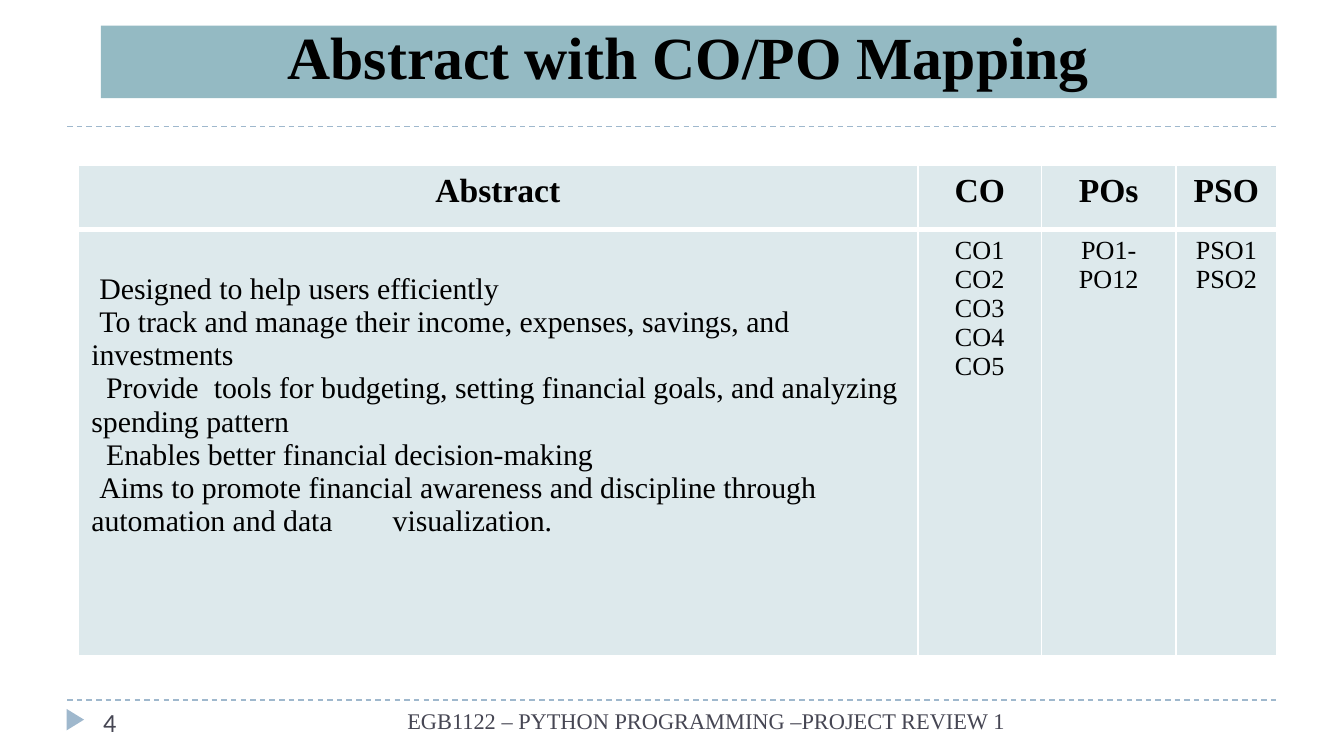
"""Build the slide that maps a project abstract to its course and programme outcomes."""
from lxml import etree
from pptx import Presentation
from pptx.dml.color import RGBColor
from pptx.enum.dml import MSO_LINE
from pptx.enum.shapes import MSO_CONNECTOR, MSO_SHAPE
from pptx.enum.text import MSO_ANCHOR, PP_ALIGN
from pptx.oxml.ns import qn
from pptx.util import Inches, Pt

LEFT, CENTER, RIGHT = PP_ALIGN.LEFT, PP_ALIGN.CENTER, PP_ALIGN.RIGHT
STRAIGHT, DASH = MSO_CONNECTOR.STRAIGHT, MSO_LINE.DASH
RECTANGLE, TRIANGLE = MSO_SHAPE.RECTANGLE, MSO_SHAPE.ISOSCELES_TRIANGLE
BOTTOM = MSO_ANCHOR.BOTTOM

BLACK = RGBColor(0x00, 0x00, 0x00)
WHITE = RGBColor(0xFF, 0xFF, 0xFF)
SLATE = RGBColor(0x46, 0x46, 0x53)
TEAL = RGBColor(0x94, 0xBA, 0xC3)
PALE = RGBColor(0xDD, 0xE9, 0xEC)
BLUE = RGBColor(0x9F, 0xB8, 0xCD)
SERIF, SANS = "Times New Roman", "Calibri"

TITLE = "Abstract with CO/PO Mapping"
ABSTRACT = [
    (0.06, 0, ["Designed to help users efficiently"]),
    (0.06, 0, ["To track and manage their income, expenses, savings, and investments"]),
    (0.11, 4, ["Provide", " ", "tools for budgeting, setting financial goals, "
               "and analyzing spending pattern"]),
    (0.11, 0, ["Enables better financial decision-making"]),
    (0.06, 28, ["Aims to promote financial awareness and discipline through "
                "automation and data", " ", "visualization."]),
]
COLUMNS = [
    ("Abstract", 6.25, [pieces for _, _, pieces in ABSTRACT]),
    ("CO", 0.92, [["CO1"], ["CO2"], ["CO3"], ["CO4"], ["CO5"]]),
    ("POs", 1.0, [["PO1-PO12"]]),
    ("PSO", 0.75, [["PSO1"], ["PSO2"]]),
]
ROW_HEIGHTS = [0.48, 3.17]
RULES = [0.94, 5.21]
FOOTERS = [
    ("EGB1122 – PYTHON PROGRAMMING –PROJECT REVIEW 1", (2.58, 5.21, 5, 0.41), RIGHT,
     {"size": Pt(12), "name": SERIF}),
    ("4", (0.67, 5.21, 2.17, 0.3), LEFT, {"size": Pt(14), "name": SANS}),
]


def write(frame, lines, align, color, **font):
    """Fill a text frame with one paragraph per line and one run per piece."""
    frame.word_wrap = True
    for index, pieces in enumerate(lines):
        paragraph = frame.add_paragraph() if index else frame.paragraphs[0]
        paragraph.alignment = align
        for piece in pieces:
            run = paragraph.add_run()
            run.text = piece
            run.font.color.rgb = color
            for key, value in font.items():
                setattr(run.font, key, value)


def add_filled(slide, kind, box, color):
    """Add a preset shape with a plain fill and no outline."""
    shape = slide.shapes.add_shape(kind, *map(Inches, box))
    shape.shadow.inherit = False
    shape.fill.solid()
    shape.fill.fore_color.rgb = color
    shape.line.fill.background()
    return shape


def add_rule(slide, y):
    """Add a dashed rule across the slide."""
    rule = slide.shapes.add_connector(STRAIGHT, Inches(0.5), Inches(y), Inches(9.5), Inches(y))
    for key, value in {"width": Pt(0.75), "dash_style": DASH}.items():
        setattr(rule.line, key, value)
    rule.line.color.rgb = BLUE
    etree.SubElement(rule._element.spPr, qn("a:effectLst"))


def set_border(cell, side, points):
    """Draw one white border of a cell."""
    properties = cell._tc.get_or_add_tcPr()
    line = etree.Element(qn("a:ln" + side), w=str(Pt(points)))
    fill = etree.SubElement(line, qn("a:solidFill"))
    etree.SubElement(fill, qn("a:srgbClr"), val=str(WHITE))
    properties.insert(len(properties) - 1, line)


def space_abstract(cell):
    """Set the top margin, first-line indents and wide gaps of the abstract."""
    cell.margin_top = Inches(0.32)
    for (indent, gap, _), paragraph in zip(ABSTRACT, cell.text_frame.paragraphs):
        properties = paragraph._p.get_or_add_pPr()
        properties.set("marL", "0")
        properties.set("indent", str(Inches(indent)))
        for run in paragraph.runs:
            if run.text == " ":
                run._r.get_or_add_rPr().set("spc", str(gap * 100))


def add_mapping(slide):
    """Add the table of the abstract and its outcomes."""
    width = sum(column[1] for column in COLUMNS)
    table = slide.shapes.add_table(
        len(ROW_HEIGHTS), len(COLUMNS), Inches(0.58), Inches(1.23),
        Inches(width), Inches(sum(ROW_HEIGHTS))).table
    table.horz_banding = False
    for row, height in zip(table.rows, ROW_HEIGHTS):
        row.height = Inches(height)
    for index, (heading, column_width, lines) in enumerate(COLUMNS):
        table.columns[index].width = Inches(column_width)
        head, body = table.cell(0, index), table.cell(1, index)
        for cell, top, bottom in ((head, 1, 3), (body, 3, 1)):
            cell.fill.solid()
            cell.fill.fore_color.rgb = PALE
            for side, points in {"L": 1, "R": 1, "T": top, "B": bottom}.items():
                set_border(cell, side, points)
        write(head.text_frame, [[heading]], CENTER, BLACK, size=Pt(18), name=SERIF, bold=True)
        align, size = (CENTER, 14) if index else (LEFT, 16)
        write(body.text_frame, lines, align, BLACK, size=Pt(size), name=SERIF, bold=False)
    space_abstract(table.cell(1, 0))


def main():
    deck = Presentation()
    deck.slide_width, deck.slide_height = Inches(10), Inches(10) * 9 // 16
    slide = deck.slides.add_slide(deck.slide_layouts[6])
    for y in RULES:
        add_rule(slide, y)
    add_filled(slide, TRIANGLE, (0.48, 5.29, 0.16, 0.13), BLUE).rotation = 90
    banner = add_filled(slide, RECTANGLE, (0.75, 0.19, 8.75, 0.54), TEAL)
    banner.text_frame.vertical_anchor = BOTTOM
    write(banner.text_frame, [[TITLE]], CENTER, BLACK, size=Pt(32), name=SERIF, bold=True)
    for text, box, align, font in FOOTERS:
        footer = slide.shapes.add_textbox(*map(Inches, box))
        write(footer.text_frame, [[text]], align, SLATE, **font)
    add_mapping(slide)
    deck.save("out.pptx")


if __name__ == "__main__":
    main()
